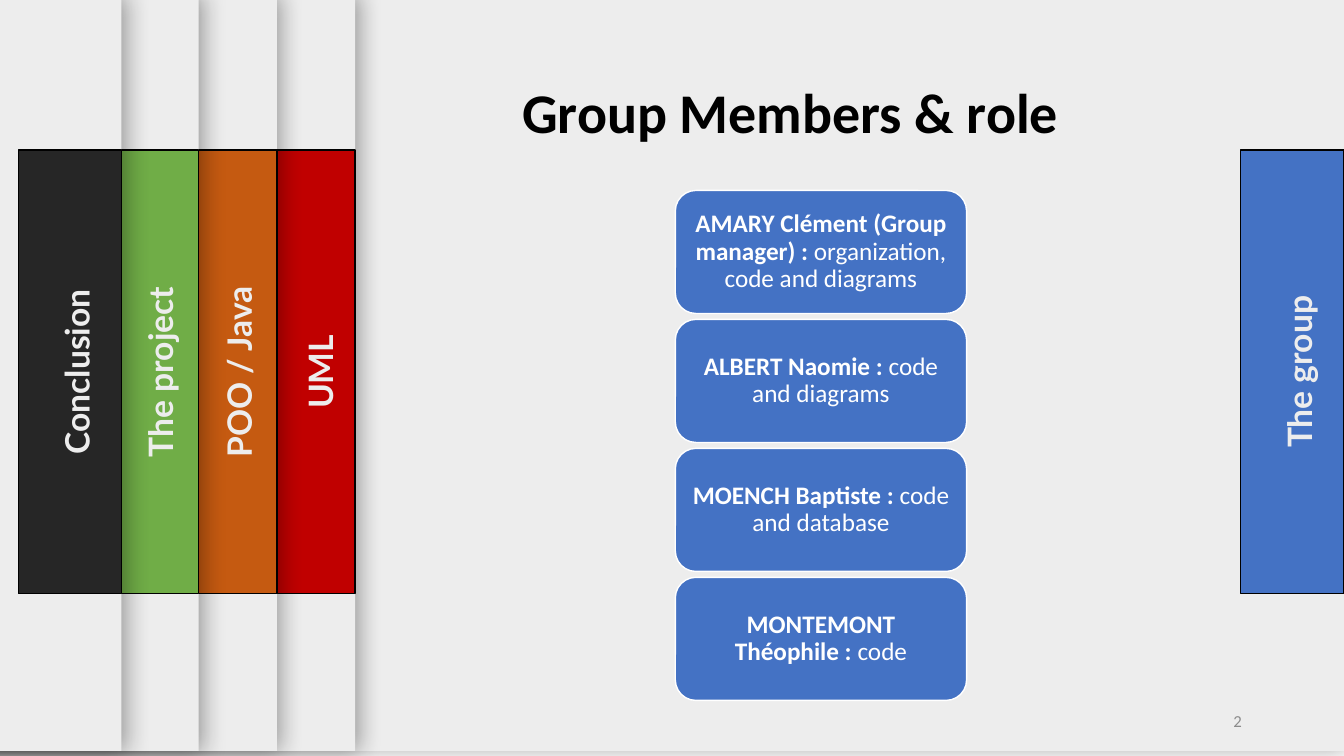
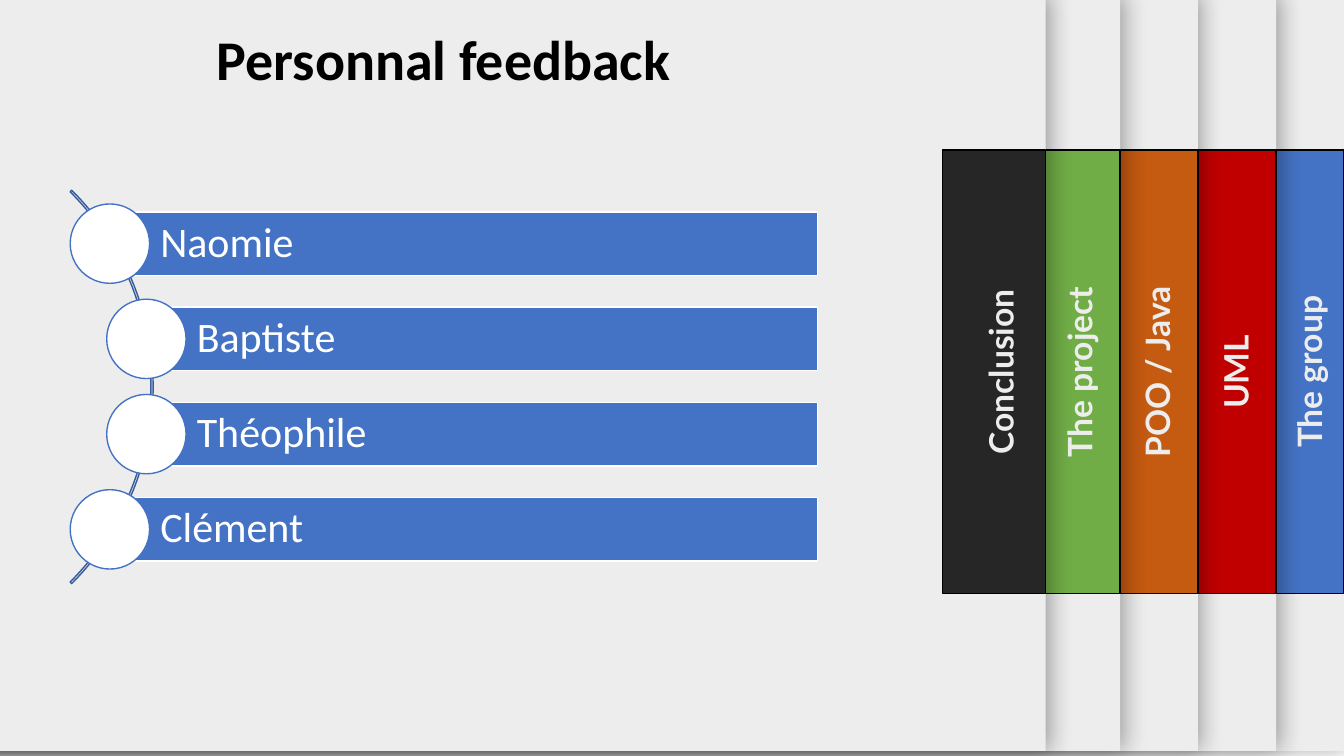
from lxml.etree import SubElement
from pptx import Presentation
from pptx.dml.color import RGBColor
from pptx.enum.shapes import MSO_SHAPE
from pptx.enum.text import MSO_ANCHOR, MSO_AUTO_SIZE, PP_ALIGN
from pptx.oxml.ns import qn
from pptx.util import Cm, Pt

WIDE, HIGH = 33.87, 19.05
PAPER, BLUE, WHITE, BLACK = "EDEDED", "4472C4", "FFFFFF", "000000"
TAB_W, TAB_H, TAB_Y = 2.6, 11.18, 3.78
TABS = [("The group", BLUE), ("UML", "C00000"), ("POO / Java", "C55A11"),
        ("The project", "70AD47"), ("Conclusion", "262626")]

TITLE = {"size": Pt(40), "name": "Calibri", "bold": True}
LABEL = {"size": Pt(24), "name": "Lato", "bold": True}
CARD = {"size": Pt(18), "name": "Calibri"}
ROW = {"size": Pt(30), "name": "Calibri", "bold": False}
SMALL = {"size": Pt(12), "name": "Calibri"}
MID = {"alignment": PP_ALIGN.CENTER}
TIGHT = {"line_spacing": 0.9}
FRAME = {"word_wrap": True, "auto_size": MSO_AUTO_SIZE.NONE}


def put(item, form):
    for key, value in form.items():
        setattr(item, key, value)


def hue(color, code):
    color.rgb = RGBColor.from_string(code)


def inset(frame, left, top, right, low):
    sides = ("left", "top", "right", "bottom")
    put(frame, {f"margin_{side}": Cm(gap)
                for side, gap in zip(sides, (left, top, right, low))})


def draw(slide, kind, box, fill=None, line=None):
    shape = slide.shapes.add_shape(kind, *map(Cm, box))
    shape.shadow.inherit = False
    if fill:
        shape.fill.solid()
        hue(shape.fill.fore_color, fill)
    else:
        shape.fill.background()
    if line:
        hue(shape.line.color, line)
        shape.line.width = Pt(1)
    else:
        shape.line.fill.background()
    return shape


def write(shape, runs, code, para, anchor=MSO_ANCHOR.TOP):
    frame = shape.text_frame
    put(frame, {**FRAME, "vertical_anchor": anchor})
    line = frame.paragraphs[0]
    put(line, para)
    for text, form in runs:
        run = line.add_run()
        run.text = text
        put(run.font, form)
        hue(run.font.color, code)


def note(slide, box, text, form, code, para, anchor=MSO_ANCHOR.TOP):
    shape = slide.shapes.add_textbox(*map(Cm, box))
    write(shape, [(text, form)], code, para, anchor)
    return shape


def shade(shape):
    glow = SubElement(shape.shadow._element.find(qn("a:effectLst")),
                      qn("a:outerShdw"), blurRad=str(Pt(17)),
                      dist=str(Pt(3)), dir="0", algn="l", rotWithShape="0")
    ink = SubElement(glow, qn("a:srgbClr"), val=BLACK)
    SubElement(ink, qn("a:alpha"), val="35000")


def page(slide, edge):
    bleed = 1
    shape = draw(slide, MSO_SHAPE.RECTANGLE,
                 (-bleed, -0.13, edge + bleed, HIGH), PAPER)
    shade(shape)


def tabs(slide, spots):
    for (text, code), (left, mid) in zip(TABS, spots):
        page(slide, left + TAB_W)
        draw(slide, MSO_SHAPE.RECTANGLE, (left, TAB_Y, TAB_W, TAB_H),
             code, BLACK)
        wide, high = 6.43, 1.27
        box = (mid - wide / 2, TAB_Y + TAB_H / 2 - high / 2, wide, high)
        note(slide, box, text, LABEL, PAPER, MID).rotation = 270


def head(slide, left, top, text):
    title = slide.shapes.title
    slide.shapes._spTree.append(title._element)
    put(title, {"left": Cm(left), "top": Cm(top),
                "width": Cm(15.19), "height": Cm(1.96)})
    write(title, [(text, TITLE)], BLACK, MID)


def card(slide, top, name, role):
    shape = draw(slide, MSO_SHAPE.ROUNDED_RECTANGLE,
                 (17.02, top, 7.34, 3.1), BLUE, WHITE)
    inset(shape.text_frame, 0.18, 0.1, 0.18, 0.1)
    runs = [(name + " : ", {**CARD, "bold": True}),
            (role, {**CARD, "bold": False})]
    write(shape, runs, WHITE, {**MID, **TIGHT}, MSO_ANCHOR.MIDDLE)


def row(slide, left, top, name):
    high, ball = 1.6, 2
    bar = draw(slide, MSO_SHAPE.RECTANGLE,
               (left, top, 20.61 - left, high), BLUE, WHITE)
    inset(bar.text_frame, 1.27, 0.2, 0.2, 0.2)
    write(bar, [(name, ROW)], WHITE, {"alignment": PP_ALIGN.LEFT, **TIGHT},
          MSO_ANCHOR.MIDDLE)
    draw(slide, MSO_SHAPE.OVAL,
         (left - ball / 2, top + (high - ball) / 2, ball, ball), WHITE, BLUE)


def arc(slide):
    shape = draw(slide, MSO_SHAPE.BLOCK_ARC, (-10.16, 2.74, 14.02, 14.02),
                 None, "365B9D")
    for index, value in enumerate((189, 27, 0.004)):
        shape.adjustments[index] = value


def group(slide):
    tabs(slide, [(31.27, 32.73), (6.35, 8.06), (4.38, 6.01),
                 (2.41, 4.03), (0.46, 1.92)])
    note(slide, (23.93, 17.65, 7.62, 1.02), "2", SMALL, "8C8C8C",
         {"alignment": PP_ALIGN.RIGHT}, MSO_ANCHOR.MIDDLE)
    head(slide, 12.32, 1.83, "Group Members & role")
    team = [("AMARY Clément (Group manager)", "organization, code and diagrams"),
            ("ALBERT Naomie", "code and diagrams"),
            ("MOENCH Baptiste", "code and database"),
            ("MONTEMONT Théophile", "code")]
    for index, (name, role) in enumerate(team):
        card(slide, 4.8 + 3.25 * index, name, role)


def views(slide):
    tabs(slide, [(31.27, 32.98), (29.56, 31.13), (27.59, 29.15),
                 (25.63, 27.19), (23.75, 25.21)])
    head(slide, 3.58, 0.48, "Personnal feedback")
    arc(slide)
    names = [(2.77, "Naomie"), (3.69, "Baptiste"),
             (3.69, "Théophile"), (2.77, "Clément")]
    for index, (left, name) in enumerate(names):
        row(slide, left, 5.34 + 2.4 * index, name)


def main():
    deck = Presentation()
    put(deck, {"slide_width": Cm(WIDE), "slide_height": Cm(HIGH)})
    for build in (group, views):
        build(deck.slides.add_slide(deck.slide_layouts[5]))
    deck.save("out.pptx")


if __name__ == "__main__":
    main()
